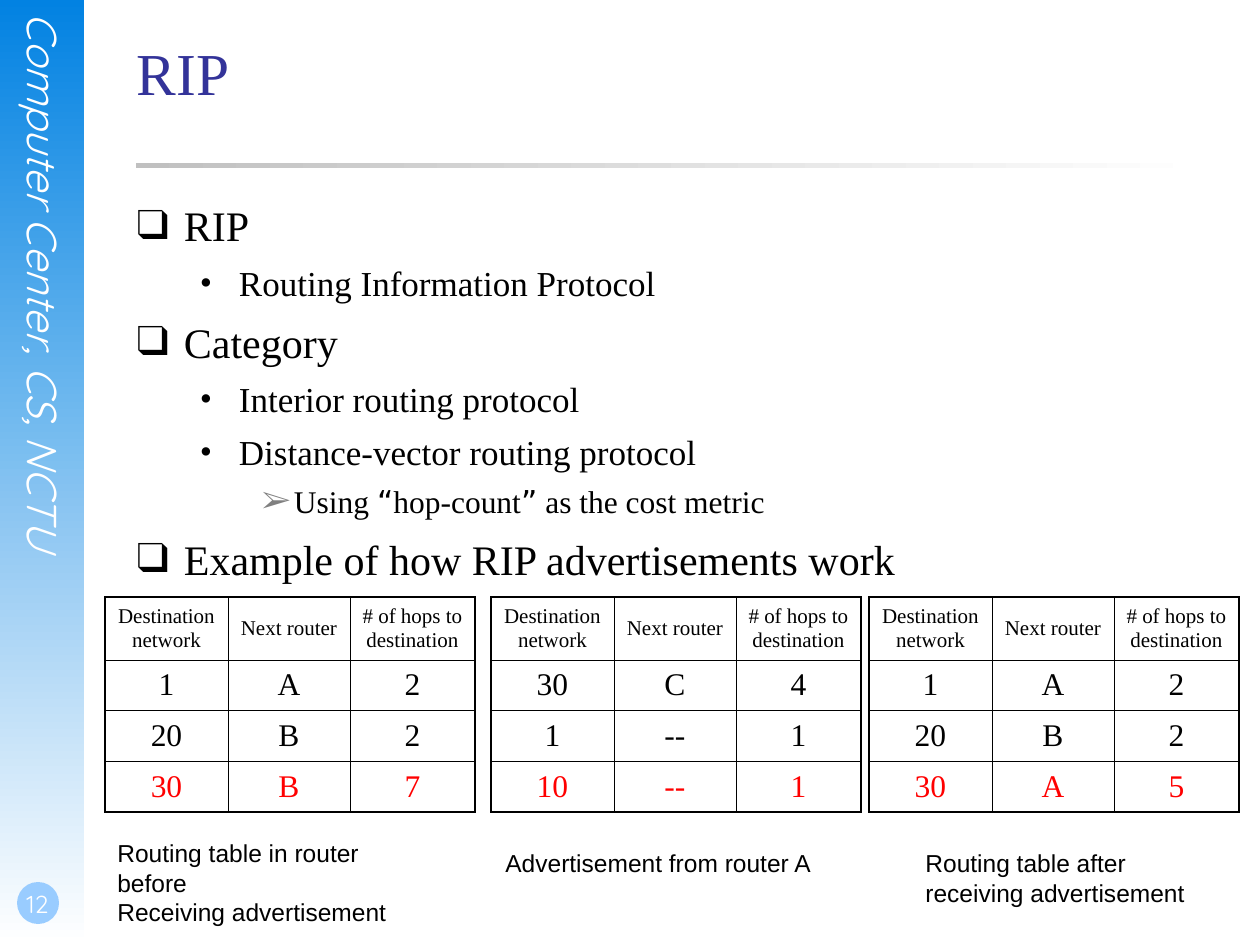
from pptx import Presentation
from pptx.dml.color import RGBColor
from pptx.enum.shapes import MSO_SHAPE
from pptx.enum.text import MSO_ANCHOR, MSO_AUTO_SIZE, PP_ALIGN
from pptx.util import Emu, Pt
from lxml.etree import SubElement
from pptx.oxml import parse_xml
from pptx.oxml.ns import nsdecls, qn


class Theme:
    SERIF, SANS, SIDE, QUOTE = "Times New Roman", "Arial", "Quicksand", "DejaVu Sans"
    BLACK, WHITE, RED, TITLE = "000000", "FFFFFF", "FF0000", "333399"
    SKY, BADGE, SILVER, GRAY = "0282E2", "99CCFF", "C0C0C0", "808080"
    TITLE_PT, SIDE_PT, NOTE_PT, HEAD_PT, CELL_PT = 34, 24, 14, 12, 18
    THIN, THICK = 0.45, 1.08


def px(n):
    return Emu(round(n * 914400 / 126))


def write(p, text, size, font=Theme.SERIF, color=Theme.BLACK, italic=False, align=None):
    """Append text to a paragraph, with a line break at each newline."""
    if align is not None:
        p.alignment = align
    for i, line in enumerate(text.split("\n")):
        if i:
            p.add_line_break()
        r = p.add_run()
        r.text = line
        r.font.size, r.font.name, r.font.italic = Pt(size), font, italic
        r.font.color.rgb = RGBColor.from_string(color)


prs = Presentation()
prs.slide_width, prs.slide_height = px(1260), px(945)
s = prs.slides.add_slide(prs.slide_layouts[6])

# Side band, page badge and title rule
for kind, box, colors, angle in [
    (MSO_SHAPE.RECTANGLE, (0, 0, 84, 945), (Theme.SKY, Theme.WHITE), 270),
    (MSO_SHAPE.OVAL, (17, 882, 42, 42), (Theme.BADGE,), 0),
    (MSO_SHAPE.RECTANGLE, (136, 163, 1071, 5), (Theme.SILVER, Theme.WHITE), 0),
]:
    sp = s.shapes.add_shape(kind, *map(px, box))
    sp.shadow.inherit = False
    sp.line.fill.background()
    if len(colors) == 1:
        sp.fill.solid()
        sp.fill.fore_color.rgb = RGBColor.from_string(colors[0])
    else:
        sp.fill.gradient()
        sp.fill.gradient_angle = angle
        for stop, color in zip(sp.fill.gradient_stops, colors):
            stop.color.rgb = RGBColor.from_string(color)

# Side label, page number, title and empty body frame
frames = []
for box in [(19, 13, 50, 643), (0, 861, 73, 63), (137, 36, 1071, 158), (137, 200, 1071, 640)]:
    tf = s.shapes.add_textbox(*map(px, box)).text_frame
    tf.word_wrap = True
    tf.margin_left = tf.margin_top = tf.margin_right = tf.margin_bottom = 0
    frames.append(tf)
side, page, title, body = frames

side._txBody.bodyPr.set("vert", "eaVert")
side.auto_size = MSO_AUTO_SIZE.SHAPE_TO_FIT_TEXT
write(side.paragraphs[0], "Computer Center, CS, NCTU", Theme.SIDE_PT, font=Theme.SIDE,
      color=Theme.WHITE, italic=True)
page.vertical_anchor = MSO_ANCHOR.BOTTOM
page.margin_left, page.margin_bottom = px(2), px(6)
write(page.paragraphs[0], "12", Theme.NOTE_PT, font=Theme.SIDE, color=Theme.WHITE,
      align=PP_ALIGN.CENTER)
write(title.paragraphs[0], "RIP", Theme.TITLE_PT, color=Theme.TITLE)

# Bulleted body: size, space before, left margin, hanging, bullet, bullet colour
levels = [
    (24, 7.5, 47, 47, "❑", Theme.BLACK),
    (20, 6.2, 102, 39, "•", Theme.BLACK),
    (18, 5.6, 157, 32, "➢", Theme.GRAY),
]
points = [
    (0, "RIP"),
    (1, "Routing Information Protocol"),
    (0, "Category"),
    (1, "Interior routing protocol"),
    (1, "Distance-vector routing protocol"),
    (2, "Using |“|hop-count|”| as the cost metric"),
    (0, "Example of how RIP advertisements work"),
]
for i, (level, text) in enumerate(points):
    size, before, left, hanging, bullet, color = levels[level]
    p = body.add_paragraph() if i else body.paragraphs[0]
    p.level = level
    pPr = p._p.get_or_add_pPr()
    pPr.set("marL", str(px(left)))
    pPr.set("indent", str(-px(hanging)))
    SubElement(SubElement(pPr, qn("a:buClr")), qn("a:srgbClr")).set("val", color)
    SubElement(pPr, qn("a:buFont")).set("typeface", Theme.SERIF)
    SubElement(pPr, qn("a:buChar")).set("char", bullet)
    if i:
        p.space_before = Pt(before)
    for part in text.split("|"):
        write(p, part, size, font=Theme.QUOTE if part in "“”" else Theme.SERIF)

# Routing tables, last row highlighted
header = ["Destination\nnetwork", "Next router", "# of hops to\ndestination"]
widths, heights = [123, 122, 125], [63, 50, 51, 50]
tables = [
    (105, [["1", "A", "2"], ["20", "B", "2"], ["30", "B", "7"]]),
    (491, [["30", "C", "4"], ["1", "--", "1"], ["10", "--", "1"]]),
    (869, [["1", "A", "2"], ["20", "B", "2"], ["30", "A", "5"]]),
]
for x, entries in tables:
    rows = [header] + entries
    table = s.shapes.add_table(len(rows), len(header), px(x), px(597),
                               px(sum(widths)), px(sum(heights))).table
    table.first_row = table.horz_banding = False
    for col, width in zip(table.columns, widths):
        col.width = px(width)
    for row, height in zip(table.rows, heights):
        row.height = px(height)
    last_row, last_col = len(rows) - 1, len(header) - 1
    for i, row in enumerate(rows):
        for j, text in enumerate(row):
            cell = table.cell(i, j)
            cell.vertical_anchor = MSO_ANCHOR.MIDDLE
            cell.fill.background()
            write(cell.text_frame.paragraphs[0], text,
                  Theme.CELL_PT if i else Theme.HEAD_PT,
                  color=Theme.RED if i == last_row else Theme.BLACK, align=PP_ALIGN.CENTER)
            outer = {"L": j == 0, "R": j == last_col, "T": i == 0, "B": i == last_row}
            for n, (side_name, is_outer) in enumerate(outer.items()):
                width = Pt(Theme.THICK if is_outer else Theme.THIN)
                cell._tc.get_or_add_tcPr().insert(n, parse_xml(
                    f'<a:ln{side_name} {nsdecls("a")} w="{width}"><a:solidFill>'
                    f'<a:srgbClr val="{Theme.BLACK}"/></a:solidFill></a:ln{side_name}>'))

# Table captions
for box, lines in [
    ((105, 832, 343, 72), ["Routing table in router before", "Receiving advertisement"]),
    ((493, 842, 333, 43), ["Advertisement from router A"]),
    ((913, 842, 285, 72), ["Routing table after", "receiving advertisement"]),
]:
    tf = s.shapes.add_textbox(*map(px, box)).text_frame
    tf.word_wrap = False
    tf.auto_size = MSO_AUTO_SIZE.SHAPE_TO_FIT_TEXT
    for i, line in enumerate(lines):
        p = tf.add_paragraph() if i else tf.paragraphs[0]
        write(p, line, Theme.NOTE_PT, font=Theme.SANS)

prs.save("out.pptx")
